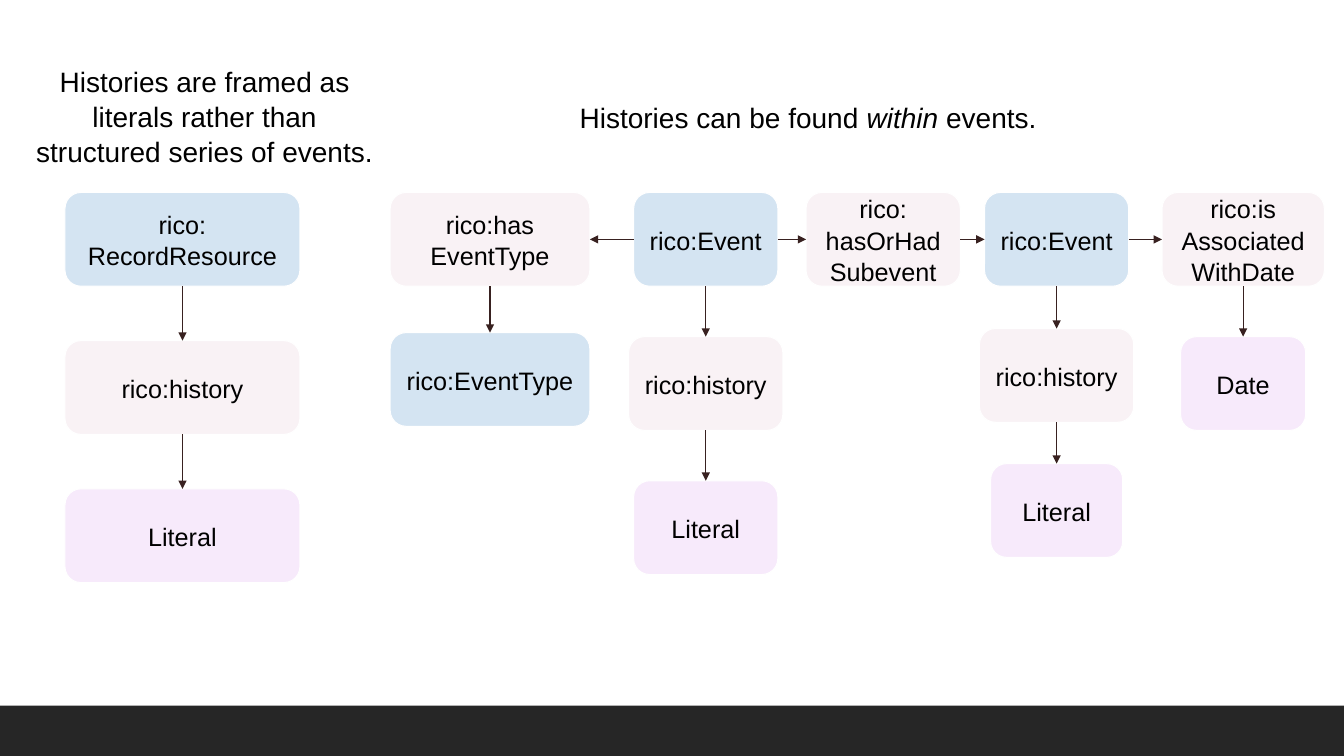
import pptx
import pptx.util
import pptx.dml.color
import pptx.enum.shapes
import pptx.enum.text
import pptx.oxml
import pptx.oxml.ns
from pptx.util import Inches

COLORS = {
    "class": "3D85C6",
    "property": "EAD1DC",
    "value": "AF17D5",
    "outline": "FFFFFF",
    "arrow": "382120",
    "text": "000000",
    "footer": "262626",
}
OPACITY = {"class": 22, "property": 28, "value": 9}
TOP, LEFT, BOTTOM, RIGHT = 0, 1, 2, 3
BOX_HEIGHT = 0.93
ROW_TOP = 1.91


def color(name):
    return pptx.dml.color.RGBColor.from_string(COLORS[name])


def add_element(parent, tag, **attributes):
    element = pptx.oxml.parse_xml(f"<{tag} {pptx.oxml.ns.nsdecls('a')}/>")
    for name, value in attributes.items():
        element.set(name, value)
    parent.append(element)


def write_text(shape, paragraphs, size=18, align="CENTER", anchor="MIDDLE", italic=()):
    frame = shape.text_frame
    frame.word_wrap = True
    frame.vertical_anchor = getattr(pptx.enum.text.MSO_ANCHOR, anchor)
    frame.margin_left = frame.margin_right = Inches(0.1)
    frame.margin_top = frame.margin_bottom = Inches(0.1)
    for index, runs in enumerate(paragraphs):
        paragraph = frame.add_paragraph() if index else frame.paragraphs[0]
        paragraph.alignment = getattr(pptx.enum.text.PP_ALIGN, align)
        paragraph.line_spacing = 1.04
        for text in [runs] if isinstance(runs, str) else runs:
            run = paragraph.add_run()
            run.text = text
            run.font.name = "Arial"
            run.font.size = pptx.util.Pt(size)
            run.font.italic = text in italic
            run.font.color.rgb = color("text")


class Diagram:
    def __init__(self, slide):
        self.slide = slide

    def footer(self):
        shape = self.slide.shapes.add_shape(
            pptx.enum.shapes.MSO_SHAPE.RECTANGLE,
            Inches(0), Inches(7), Inches(13.33), Inches(0.5))
        shape.shadow.inherit = False
        shape.fill.solid()
        shape.fill.fore_color.rgb = color("footer")
        shape.line.fill.background()

    def caption(self, left, top, width, height, runs, **text_format):
        shape = self.slide.shapes.add_textbox(
            Inches(left), Inches(top), Inches(width), Inches(height))
        write_text(shape, [runs], size=20, anchor="TOP", **text_format)

    def box(self, center, top, width, kind, *lines):
        shape = self.slide.shapes.add_shape(
            pptx.enum.shapes.MSO_SHAPE.ROUNDED_RECTANGLE,
            Inches(center - width / 2), Inches(top), Inches(width), Inches(BOX_HEIGHT))
        shape.adjustments[0] = 0.17
        shape.shadow.inherit = False
        shape.fill.solid()
        shape.fill.fore_color.rgb = color(kind)
        fill_color = shape.fill._xPr.find(".//" + pptx.oxml.ns.qn("a:srgbClr"))
        add_element(fill_color, "a:alpha", val=str(OPACITY[kind] * 1000))
        shape.line.color.rgb = color("outline")
        shape.line.width = pptx.util.Pt(0.75)
        write_text(shape, lines)
        return shape

    def arrow(self, start, start_side, end, end_side):
        connector = self.slide.shapes.add_connector(
            pptx.enum.shapes.MSO_CONNECTOR.STRAIGHT, 0, 0, 0, 0)
        connector.begin_connect(start, start_side)
        connector.end_connect(end, end_side)
        connector.line.color.rgb = color("arrow")
        connector.line.width = pptx.util.Pt(0.75)
        add_element(connector.line._get_or_add_ln(), "a:tailEnd", type="triangle")
        add_element(connector._element.spPr, "a:effectLst")

    def column(self, center, *boxes):
        shapes = [self.box(center, *box) for box in boxes]
        for upper, lower in zip(shapes, shapes[1:]):
            self.arrow(upper, BOTTOM, lower, TOP)
        return shapes[0]


def main():
    presentation = pptx.Presentation()
    presentation.slide_width = Inches(13.33)
    presentation.slide_height = Inches(7.5)
    diagram = Diagram(presentation.slides.add_slide(presentation.slide_layouts[6]))
    diagram.footer()

    diagram.caption(0.23, 0.53, 3.6, 1.45,
                    "Histories are framed as literals rather than structured series of events.")
    diagram.caption(5.65, 0.88, 5.06, 0.54,
                    ["Histories can be found ", "within", " events."],
                    align="LEFT", italic=["within"])

    diagram.column(1.81,
                   (ROW_TOP, 2.33, "class", "rico:", "RecordResource"),
                   (3.38, 2.33, "property", "rico:history"),
                   (4.85, 2.33, "value", "Literal"))
    has_event_type = diagram.column(4.86,
                                    (ROW_TOP, 1.98, "property", "rico:has", "EventType"),
                                    (3.3, 1.98, "class", "rico:EventType"))
    event = diagram.column(7,
                           (ROW_TOP, 1.43, "class", "rico:Event"),
                           (3.34, 1.53, "property", "rico:history"),
                           (4.77, 1.43, "value", "Literal"))
    has_subevent = diagram.column(8.76,
                                  (ROW_TOP, 1.53, "property", "rico:", "hasOrHad", "Subevent"))
    subevent = diagram.column(10.48,
                              (ROW_TOP, 1.43, "class", "rico:Event"),
                              (3.26, 1.53, "property", "rico:history"),
                              (4.6, 1.31, "value", "Literal"))
    has_date = diagram.column(12.33,
                              (ROW_TOP, 1.61, "property", "rico:is", "AssociatedWithDate"),
                              (3.34, 1.24, "value", "Date"))

    diagram.arrow(event, LEFT, has_event_type, RIGHT)
    chain = [event, has_subevent, subevent, has_date]
    for start, end in zip(chain, chain[1:]):
        diagram.arrow(start, RIGHT, end, LEFT)

    presentation.save("out.pptx")


if __name__ == "__main__":
    main()
